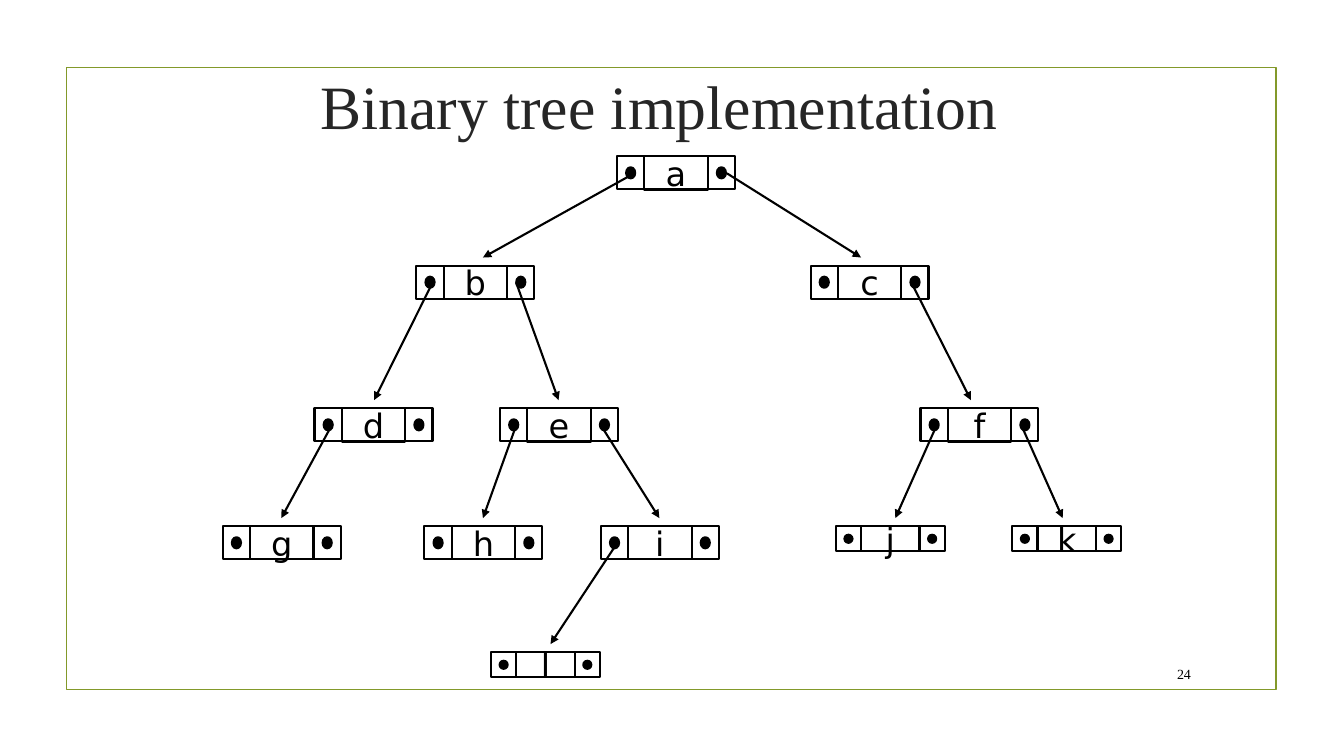
"""Build a slide that shows a binary tree of linked nodes."""
import pptx
import pptx.util
import pptx.dml.color
import pptx.enum.shapes
import pptx.enum.text
import lxml.etree

Inches = pptx.util.Inches
Pt = pptx.util.Pt
RGB = pptx.dml.color.RGBColor.from_string
SHAPE = pptx.enum.shapes.MSO_SHAPE
ALIGN = pptx.enum.text.PP_ALIGN
COLORS = {"black": "000000", "title": "262626", "frame": "83992A"}
NS = "http://schemas.openxmlformats.org/drawingml/2006/main"

prs = pptx.Presentation()
prs.slide_width, prs.slide_height = Inches(13.33), Inches(7.5)
shapes = prs.slides.add_slide(prs.slide_layouts[6]).shapes


def add_box(kind, x, y, w, h, color="black", width=1.5, filled=False):
    sp = shapes.add_shape(kind, Inches(x), Inches(y), Inches(w), Inches(h))
    sp.shadow.inherit = False
    if filled:
        sp.fill.solid()
        sp.fill.fore_color.rgb = RGB(COLORS[color])
    else:
        sp.fill.background()
    sp.line.color.rgb = RGB(COLORS[color])
    sp.line.width = Pt(width)
    return sp


def write(sp, text, size, font, color="black", align=ALIGN.CENTER, wrap=True):
    tf = sp.text_frame
    tf.word_wrap = wrap
    tf.vertical_anchor = pptx.enum.text.MSO_ANCHOR.MIDDLE
    p = tf.paragraphs[0]
    p.alignment = align
    r = p.add_run()
    r.text = text
    for name, value in {"size": Pt(size), "name": font}.items():
        setattr(r.font, name, value)
    r.font.color.rgb = RGB(COLORS[color])


add_box(SHAPE.RECTANGLE, 0.66, 0.67, 12, 6.17, "frame", 1.25)
number = shapes.add_textbox(Inches(11.32), Inches(6.53), Inches(0.59), Inches(0.31))
write(number, "24", 10, "Times New Roman", align=ALIGN.RIGHT)
title = shapes.add_textbox(Inches(1.29), Inches(0.33), Inches(10.5), Inches(1.43))
write(title, "Binary tree implementation", 44, "Times New Roman", "title")

LEVELS = [1.55, 2.635, 4.05, 5.22, 6.47]
SIZES = {
    "large": {"link": 0.27, "data": 0.63, "height": 0.33, "dot": (0.09, 0.11)},
    "small": {"link": 0.25, "data": 0.58, "height": 0.25, "dot": (0.08, 0.08)},
}
NODES = {
    "a": (6.12, 0, "large"),
    "b": (4.13, 1, "large"),
    "c": (8.04, 1, "large"),
    "d": (3.12, 2, "large"),
    "e": (4.96, 2, "large"),
    "g": (2.21, 3, "large"),
    "h": (4.21, 3, "large"),
    "i": (5.96, 3, "large"),
    "l": (4.87, 4, "small"),
    "f": (9.13, 2, "large"),
    "j": (8.29, 3, "small"),
    "k": (10.04, 3, "small"),
}
for letter, (x, level, size) in NODES.items():
    y = LEVELS[level]
    link, data, height, (dot_w, dot_h) = SIZES[size].values()
    for link_x in (x, x + link + data):
        add_box(SHAPE.RECTANGLE, link_x, y, link, height)
        add_box(SHAPE.OVAL, link_x + (link - dot_w) / 2, y + (height - dot_h) / 2,
                dot_w, dot_h, filled=True)
    sp = add_box(SHAPE.FLOWCHART_PROCESS, x + link, y, data, height)
    write(sp, letter, 24, "DejaVu Sans", wrap=False)

ARROWS = [
    (0, 6.29, 4.79), (0, 7.21, 8.54),
    (1, 4.29, 3.71), (1, 5.12, 5.54), (1, 9.04, 9.63),
    (2, 3.29, 2.79), (2, 5.12, 4.79), (2, 5.96, 6.54),
    (2, 9.29, 8.88), (2, 10.13, 10.54),
    (3, 6.12, 5.46),
]
for level, start_x, end_x in ARROWS:
    arrow = shapes.add_connector(
        pptx.enum.shapes.MSO_CONNECTOR.STRAIGHT,
        Inches(start_x), Inches(LEVELS[level] + 0.17),
        Inches(end_x), Inches(LEVELS[level + 1] - 0.08))
    arrow.line.color.rgb = RGB(COLORS["black"])
    arrow.line.width = Pt(1.5)
    lxml.etree.SubElement(arrow.line._get_or_add_ln(), f"{{{NS}}}tailEnd", type="triangle")
    lxml.etree.SubElement(arrow._element.spPr, f"{{{NS}}}effectLst")

prs.save("out.pptx")
